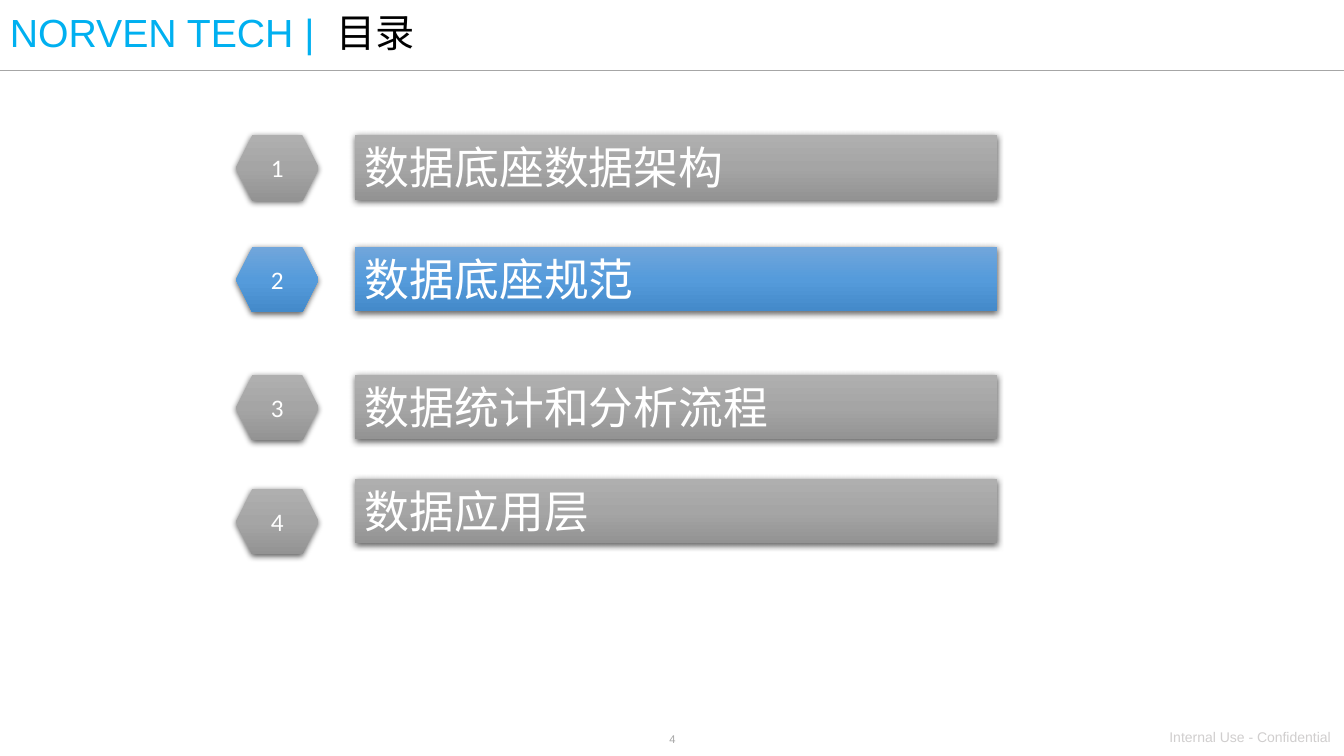
from dataclasses import dataclass

from lxml import etree
from pptx import Presentation
from pptx import util as u
from pptx.dml.color import RGBColor
from pptx.enum import shapes, text
from pptx.oxml import parse_xml
from pptx.oxml.ns import nsdecls, qn
from pptx.shapes.autoshape import Shape
from pptx.slide import Slide
from pptx.text.text import Font

EMU_PER_PX = 9144  # 100 px to the inch


@dataclass(frozen=True)
class Theme:
    brand: str = "00B0F0"
    ink: str = "000000"
    white: str = "FFFFFF"
    rule: str = "A6A6A6"
    footer: str = "D0CECE"
    idle: tuple[str, ...] = ("AFAFAF", "A5A5A5", "939393")
    active: tuple[str, ...] = ("71A6DB", "559BDB", "448ACA")
    latin: str = "Arial"
    number: str = "Calibri"
    chinese: str = "Noto Sans CJK SC"
    title_size: int = 28
    entry_size: int = 32
    number_size: int = 18
    footer_size: int = 10
    page_size: int = 8


@dataclass(frozen=True)
class Entry:
    label: str
    bar_top: int
    badge_top: int
    active: bool = False


THEME = Theme()
ENTRIES = (
    Entry("数据底座数据架构", 134, 134),
    Entry("数据底座规范", 245, 245, active=True),
    Entry("数据统计和分析流程", 372, 372),
    Entry("数据应用层", 475, 485),
)


def px(length: int) -> u.Emu:
    return u.Emu(length * EMU_PER_PX)


def style_font(font: Font, name: str, size: int, color: str) -> None:
    font.name = name
    font.size = u.Pt(size)
    font.color.rgb = RGBColor.from_string(color)


def match_east_asian_font(shape: Shape) -> None:
    """Give Chinese characters the typeface already set for Latin ones."""
    for latin in list(shape.element.iter(qn("a:latin"))):
        east_asian = etree.Element(qn("a:ea"), typeface=latin.get("typeface"))
        latin.addnext(east_asian)


def style_panel(shape: Shape, colors: tuple[str, ...]) -> None:
    """Apply a top-to-bottom gradient and a soft shadow, without outline."""
    shape.line.fill.background()
    shape.shadow.inherit = False
    stops = "".join(
        f'<a:gs pos="{index * 50000}"><a:srgbClr val="{color}"/></a:gs>'
        for index, color in enumerate(colors)
    )
    shape.element.spPr.find(qn("a:prstGeom")).addnext(parse_xml(
        f'<a:gradFill {nsdecls("a")} rotWithShape="1"><a:gsLst>{stops}</a:gsLst>'
        '<a:lin ang="5400000" scaled="0"/></a:gradFill>'
    ))
    shape.element.spPr.find(qn("a:effectLst")).append(parse_xml(
        f'<a:outerShdw {nsdecls("a")} blurRad="{u.Pt(4.5)}" dist="{u.Pt(1.5)}" '
        'dir="5400000" algn="ctr" rotWithShape="0"><a:srgbClr val="000000">'
        '<a:alpha val="63000"/></a:srgbClr></a:outerShdw>'
    ))


def add_entry(slide: Slide, number: int, entry: Entry) -> None:
    colors = THEME.active if entry.active else THEME.idle
    badge = slide.shapes.add_shape(
        shapes.MSO_SHAPE.HEXAGON, px(234), px(entry.badge_top), px(82), px(65))
    bar = slide.shapes.add_shape(
        shapes.MSO_SHAPE.RECTANGLE, px(352), px(entry.bar_top), px(637), px(64))
    for shape, words, font, size, alignment, anchor in (
        (badge, str(number), THEME.number, THEME.number_size,
         text.PP_ALIGN.CENTER, text.MSO_ANCHOR.MIDDLE),
        (bar, entry.label, THEME.chinese, THEME.entry_size,
         text.PP_ALIGN.LEFT, text.MSO_ANCHOR.TOP),
    ):
        style_panel(shape, colors)
        shape.text_frame.vertical_anchor = anchor
        paragraph = shape.text_frame.paragraphs[0]
        paragraph.text = words
        paragraph.alignment = alignment
        style_font(paragraph.font, font, size, THEME.white)
    bar.text_frame.auto_size = text.MSO_AUTO_SIZE.SHAPE_TO_FIT_TEXT
    match_east_asian_font(bar)


def add_title(slide: Slide) -> None:
    title = slide.shapes.add_textbox(0, 0, px(1150), px(69))
    title.text_frame.word_wrap = True
    title.text_frame.vertical_anchor = text.MSO_ANCHOR.MIDDLE
    paragraph = title.text_frame.paragraphs[0]
    paragraph.line_spacing = 0.9
    tabs = etree.SubElement(paragraph.line_spacing and title.element.find(
        ".//" + qn("a:pPr")), qn("a:tabLst"))
    etree.SubElement(tabs, qn("a:tab"), pos=str(px(324)), algn="l")
    for words, font, color in (
        ("NORVEN TECH |\t", THEME.latin, THEME.brand),
        ("目录", THEME.chinese, THEME.ink),
    ):
        run = paragraph.add_run()
        run.text = words
        style_font(run.font, font, THEME.title_size, color)
    match_east_asian_font(title)


def add_small_print(slide: Slide, words: str, left: int, top: int, width: int,
                    height: int, size: int, color: str,
                    alignment: text.PP_ALIGN) -> None:
    box = slide.shapes.add_textbox(px(left), px(top), px(width), px(height))
    box.text_frame.word_wrap = True
    paragraph = box.text_frame.paragraphs[0]
    paragraph.text = words
    paragraph.alignment = alignment
    style_font(paragraph.font, THEME.latin, size, color)


def add_header_rule(slide: Slide) -> None:
    rule = slide.shapes.add_connector(
        shapes.MSO_CONNECTOR.STRAIGHT, 0, px(70), px(1333), px(70))
    rule.line.color.rgb = RGBColor.from_string(THEME.rule)
    rule.line.width = u.Pt(1)
    etree.SubElement(rule.element.spPr, qn("a:effectLst"))


def main() -> None:
    presentation = Presentation()
    presentation.slide_width = px(1333)
    presentation.slide_height = px(750)
    slide = presentation.slides.add_slide(presentation.slide_layouts[6])
    add_header_rule(slide)
    add_small_print(slide, "4", 579, 722, 176, 24, THEME.page_size,
                    THEME.rule, text.PP_ALIGN.CENTER)
    add_small_print(slide, "Internal Use - Confidential", 1150, 718, 184, 27,
                    THEME.footer_size, THEME.footer, text.PP_ALIGN.LEFT)
    add_title(slide)
    for number, entry in enumerate(ENTRIES, start=1):
        add_entry(slide, number, entry)
    presentation.save("out.pptx")


if __name__ == "__main__":
    main()
